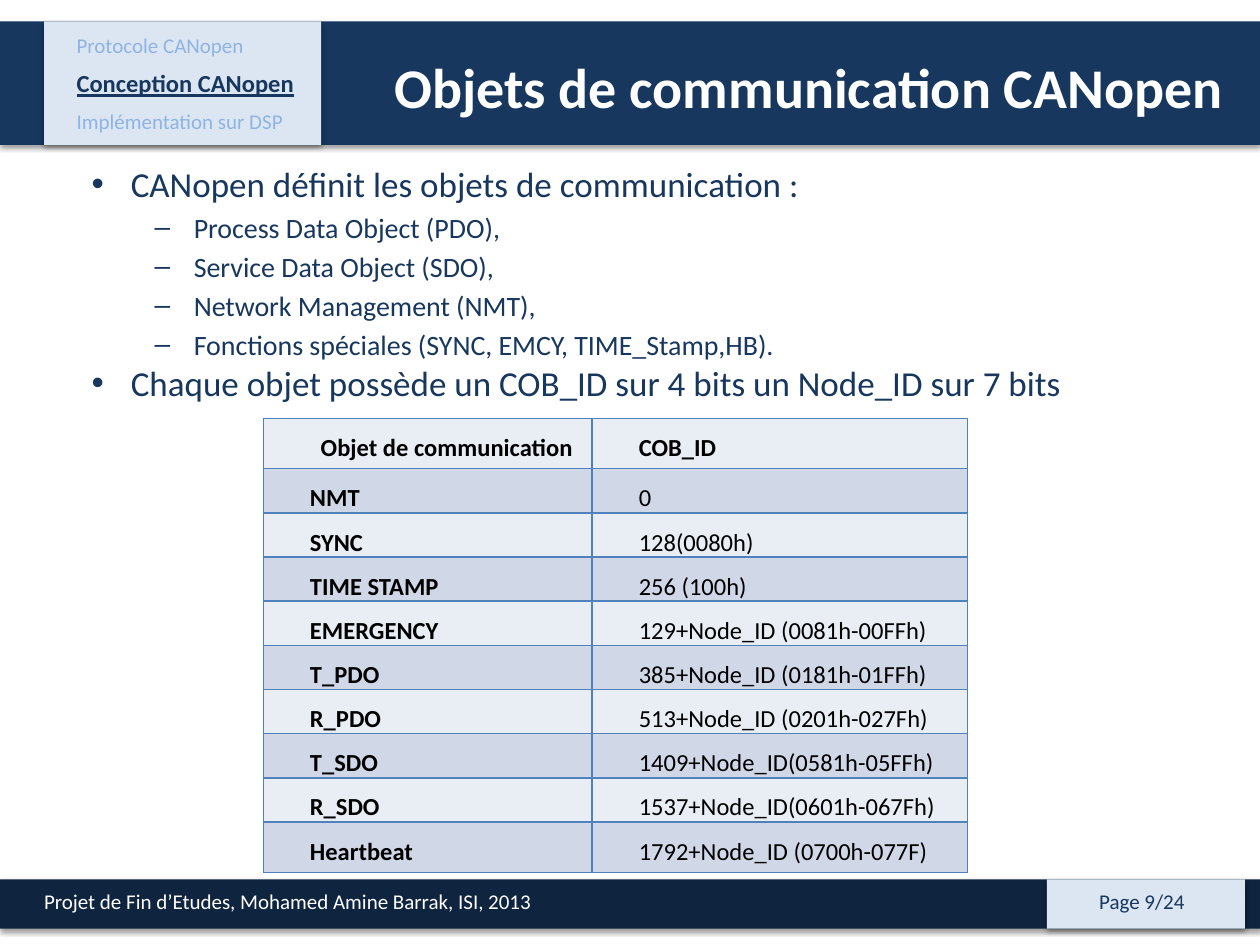
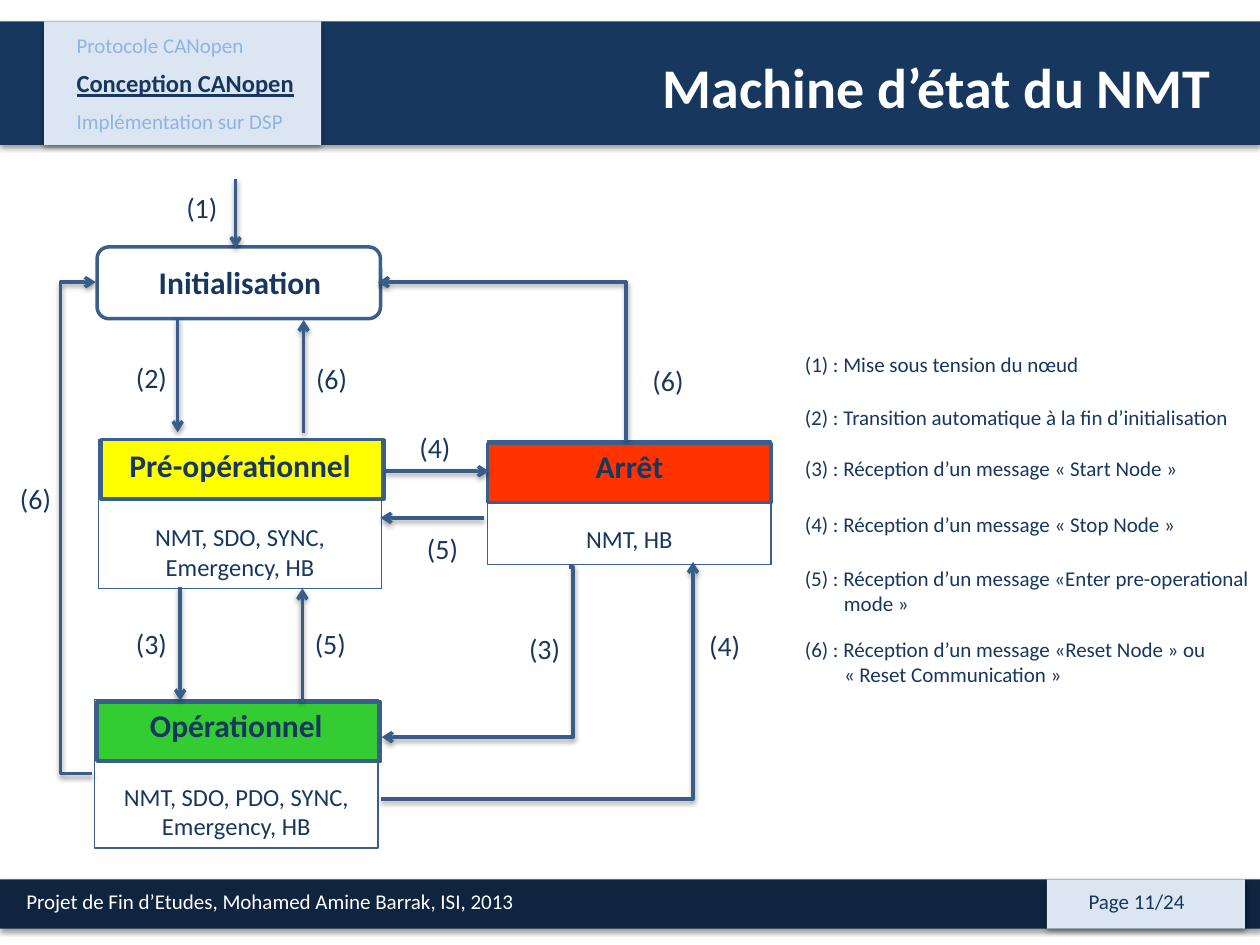
from lxml import etree
from pptx import Presentation
from pptx import util as u
from pptx.dml.color import RGBColor
from pptx.enum import shapes, text
from pptx.oxml import ns

NAVY = RGBColor(0x17, 0x37, 0x5E)
DARK = RGBColor(0x0F, 0x24, 0x3E)
PALE = RGBColor(0xDC, 0xE6, 0xF2)
SKY = RGBColor(0x8E, 0xB4, 0xE3)
WHITE = RGBColor(0xFF, 0xFF, 0xFF)
BLACK = RGBColor(0, 0, 0)
OUTLINE = RGBColor(0x3A, 0x5F, 0x8C)
ARROW = RGBColor(0x38, 0x5D, 0x8A)
GRID = RGBColor(0x4F, 0x81, 0xBD)
ROW_FILLS = RGBColor(0xE9, 0xED, 0xF4), RGBColor(0xD0, 0xD8, 0xE8)
YELLOW = RGBColor(0xFF, 0xFF, 0x00)
GREEN = RGBColor(0x33, 0xCC, 0x33)
RED = RGBColor(0xFF, 0x33, 0x00)

FONT = "Calibri"
ALIGN = text.PP_ALIGN
ANCHOR = text.MSO_ANCHOR
KIND = shapes.MSO_SHAPE

SECTIONS = ["Protocole CANopen", "Conception CANopen", "Implémentation sur DSP"]
CURRENT = 1
CREDIT = "Projet de Fin d’Etudes, Mohamed Amine Barrak, ISI, 2013"
PAGES = 24


def sub(parent, tag, **attrs):
    return etree.SubElement(parent, ns.qn(tag), {k: str(v) for k, v in attrs.items()})


def indent(p, left, first=0):
    pPr = p._p.get_or_add_pPr()
    pPr.set("marL", str(u.Inches(left)))
    pPr.set("indent", str(u.Inches(first)))
    return pPr


class Deck:
    def __init__(self):
        self.prs = Presentation()
        self.prs.slide_width, self.prs.slide_height = u.Inches(10), u.Inches(7.5)
        self.s = None

    # --- basic elements ---
    def style(self, p, size, color=NAVY, bold=False, align=None, underline=False):
        p.alignment = align
        for r in p.runs:
            f = r.font
            f.name, f.size, f.bold, f.underline = FONT, u.Pt(size), bold, underline
            f.color.rgb = color

    def shadow(self, effects):
        outer = sub(effects, "a:outerShdw", blurRad=u.Pt(3.1), dist=u.Pt(1.6),
                    dir=5400000, rotWithShape=0)
        sub(sub(outer, "a:srgbClr", val="000000"), "a:alpha", val=38000)

    def box(self, x, y, w, h, fill=None, line=None, width=2, kind=KIND.RECTANGLE,
            shadow=False):
        sp = self.s.shapes.add_shape(kind, *map(u.Inches, (x, y, w, h)))
        if fill is None:
            sp.fill.background()
        else:
            sp.fill.solid()
            sp.fill.fore_color.rgb = fill
        if line is None:
            sp.line.fill.background()
        else:
            sp.line.color.rgb = line
            sp.line.width = u.Pt(width)
        sp.shadow.inherit = False
        if shadow:
            self.shadow(sp._element.spPr.find(ns.qn("a:effectLst")))
        return sp

    def text(self, x, y, w, h, content, size, color=NAVY, bold=False, align=None,
             anchor=ANCHOR.TOP, wrap=True):
        tf = self.s.shapes.add_textbox(*map(u.Inches, (x, y, w, h))).text_frame
        tf.text = content
        tf.word_wrap = wrap
        tf.vertical_anchor = anchor
        for p in tf.paragraphs:
            self.style(p, size, color, bold, align)
        return tf

    def arrow(self, x1, y1, x2, y2, via=None, end="tailEnd"):
        """Straight arrow, or an elbow whose vertical part lies at x = via."""
        kind = shapes.MSO_CONNECTOR.STRAIGHT if via is None else shapes.MSO_CONNECTOR.ELBOW
        c = self.s.shapes.add_connector(kind, *map(u.Inches, (x1, y1, x2, y2)))
        c.line.color.rgb = ARROW
        c.line.width = u.Pt(2)
        spPr = c._element.spPr
        sub(spPr.find(ns.qn("a:ln")), "a:" + end, type="arrow")
        self.shadow(sub(spPr, "a:effectLst"))
        if via is not None:
            ratio = round((via - x1) / (x2 - x1) * 100000)
            guides = spPr.find(ns.qn("a:prstGeom")).find(ns.qn("a:avLst"))
            sub(guides, "a:gd", name="adj1", fmla=f"val {ratio}")

    # --- shared frame: bands, title, section menu, footer ---
    def slide(self, title, page, credit_x):
        self.s = self.prs.slides.add_slide(self.prs.slide_layouts[6])
        for x, y, w, h, fill in [(0, 0.17, 10, 0.98, NAVY), (0, 6.98, 10, 0.39, DARK),
                                 (8.31, 6.98, 1.57, 0.39, PALE), (0.35, 0.17, 2.2, 0.98, PALE)]:
            self.box(x, y, w, h, fill, shadow=True)
        self.text(0.2, 0.29, 9.61, 0.79, title, 32, WHITE, True, ALIGN.RIGHT, ANCHOR.MIDDLE)
        menu = self.text(0.51, 0.21, 2.04, 0.94, "\n".join(SECTIONS), 12, SKY)
        for p in menu.paragraphs:
            p.space_before = u.Pt(6)
        self.style(menu.paragraphs[CURRENT], 14, NAVY, True, underline=True)
        self.text(7.17, 6.95, 2.33, 0.4, f"Page {page}/{PAGES}", 12, NAVY,
                  align=ALIGN.RIGHT, anchor=ANCHOR.MIDDLE)
        self.text(credit_x, 6.95, 4.33, 0.4, CREDIT, 12, WHITE,
                  align=ALIGN.CENTER, anchor=ANCHOR.MIDDLE)

    # --- bullets and table ---
    def bullets(self, x, y, w, h, items):
        tf = self.text(x, y, w, h, "\n".join(t for _, t in items), 20)
        for p, (level, _) in zip(tf.paragraphs, items):
            if level:
                p.level = level
                p.space_before = u.Pt(3.2)
                self.style(p, 16)
            pPr = indent(p, 0.31 + 0.5 * level, -0.31)
            sub(pPr, "a:buFont", typeface="Arial")
            sub(pPr, "a:buChar", char="•–"[level])

    def table(self, x, y, widths, heights, rows):
        tbl = self.s.shapes.add_table(len(rows), len(widths), *map(
            u.Inches, (x, y, sum(widths), sum(heights)))).table
        for col, w in zip(tbl.columns, widths):
            col.width = u.Inches(w)
        for i, (row, h) in enumerate(zip(rows, heights)):
            tbl.rows[i].height = u.Inches(h)
            for j, value in enumerate(row):
                align = ALIGN.JUSTIFY if i else (ALIGN.LEFT if j else ALIGN.CENTER)
                self.cell(tbl.cell(i, j), value, ROW_FILLS[i % 2], i == 0 or j == 0, align)

    def cell(self, cell, value, fill, bold, align):
        cell.text_frame.text = value
        cell.margin_left = cell.margin_right = u.Inches(0.07)
        cell.margin_top = cell.margin_bottom = 0
        p = cell.text_frame.paragraphs[0]
        self.style(p, 14, BLACK, bold, align)
        p.line_spacing = 1.5
        indent(p, 0, 0.3)
        tcPr = cell._tc.get_or_add_tcPr()
        for side in "LRTB":
            ln = sub(tcPr, "a:ln" + side, w=u.Pt(1))
            sub(sub(ln, "a:solidFill"), "a:srgbClr", val=GRID)
        cell.fill.solid()
        cell.fill.fore_color.rgb = fill

    # --- state diagram ---
    def state(self, x, y, h, band_x, band_y, fill, name, services):
        """Coloured name band under an outlined box that lists the services."""
        self.box(band_x, band_y, 2.25, 0.47, fill, OUTLINE)
        tf = self.box(x, y, 2.25, h, line=OUTLINE, width=0.75).text_frame
        tf.text = f"{name}\n{services}"
        tf.word_wrap = True
        tf.vertical_anchor = ANCHOR.TOP
        head, body = tf.paragraphs
        self.style(head, 18, bold=True, align=ALIGN.CENTER)
        self.style(body, 14, align=ALIGN.CENTER)
        body.space_before = u.Pt(22)

    def event(self, x, y, number):
        self.text(x, y, 0.45, 0.37, f"({number})", 16, wrap=False)


def communication_objects(d):
    d.slide("Objets de communication CANopen", 9, 0.12)
    d.bullets(0.63, 1.24, 8.74, 2.71, [
        (0, "CANopen définit les objets de communication :"),
        (1, "Process Data Object (PDO),"),
        (1, "Service Data Object (SDO),"),
        (1, "Network Management (NMT),"),
        (1, "Fonctions spéciales (SYNC, EMCY, TIME_Stamp,HB)."),
        (0, "Chaque objet possède un COB_ID sur 4 bits un Node_ID sur 7 bits")])
    d.table(2.09, 3.32, [2.61, 2.98], [0.4] + [0.35] * 8 + [0.4], [
        ("Objet de communication", "COB_ID"),
        ("NMT", "0"),
        ("SYNC", "128(0080h)"),
        ("TIME STAMP", "256 (100h)"),
        ("EMERGENCY", "129+Node_ID (0081h-00FFh)"),
        ("T_PDO", "385+Node_ID (0181h-01FFh)"),
        ("R_PDO", "513+Node_ID (0201h-027Fh)"),
        ("T_SDO", "1409+Node_ID(0581h-05FFh)"),
        ("R_SDO", "1537+Node_ID(0601h-067Fh)"),
        ("Heartbeat", "1792+Node_ID (0700h-077F)")])


def nmt_state_machine(d):
    d.slide("Machine d’état du NMT ", 11, -0.02)

    # States
    d.box(0.77, 1.96, 2.25, 0.57, line=OUTLINE, kind=KIND.ROUNDED_RECTANGLE)
    d.text(0.88, 2.04, 2.05, 0.4, "Initialisation", 18, bold=True, align=ALIGN.CENTER)
    d.state(0.78, 3.49, 1.18, 0.8, 3.49, YELLOW, "Pré-opérationnel",
            "NMT, SDO, SYNC, Emergency, HB")
    d.state(0.75, 5.55, 1.18, 0.77, 5.57, GREEN, "Opérationnel",
            "NMT, SDO, PDO, SYNC, Emergency, HB")
    d.state(3.87, 3.5, 0.98, 3.87, 3.52, RED, "Arrêt", "NMT, HB")

    # Transitions
    for ends in [(1.87, 1.42, 1.87, 1.97), (1.41, 2.52, 1.41, 3.43),
                 (2.41, 3.44, 2.41, 2.54), (1.43, 4.66, 1.43, 5.56),
                 (2.4, 5.57, 2.4, 4.67), (3.06, 3.74, 3.88, 3.74),
                 (3.84, 4.11, 3.02, 4.11)]:
        d.arrow(*ends)
    d.arrow(3.02, 6.34, 5.5, 4.46, via=5.5)
    d.arrow(4.52, 4.5, 3.03, 5.85, via=4.55)
    d.arrow(0.73, 6.14, 0.76, 2.24, via=0.48)
    d.arrow(3, 2.24, 4.97, 3.5, via=4.97, end="headEnd")

    # Event numbers
    for x, y, number in [(1.38, 1.46, 1), (0.98, 2.81, 2), (0.98, 4.92, 3), (4.1, 4.96, 3),
                         (3.23, 3.37, 4), (5.53, 4.94, 4), (3.29, 4.17, 5), (2.4, 4.92, 5),
                         (0.06, 3.77, 6), (2.41, 2.82, 6), (5.08, 2.84, 6)]:
        d.event(x, y, number)

    # Legend
    legend = [
        (2.74, 2.51, "Mise sous tension du nœud"),
        (3.16, 3.6, "Transition automatique à la fin d’initialisation"),
        (3.57, 3.19, "Réception d’un message « Start Node »"),
        (4.01, 3.18, "Réception d’un message « Stop Node »"),
        (4.44, 3.76, "Réception d’un message «Enter pre-operational\nmode »"),
        (5, 3.42, "Réception d’un message «Reset Node » ou\n« Reset Communication »")]
    for number, (y, w, meaning) in enumerate(legend, 1):
        lines = meaning.count("\n") + 1
        tf = d.text(6.29, y, w, 0.1 + 0.2 * lines, f"({number}) : {meaning}", 12, wrap=False)
        for p in tf.paragraphs[1:]:
            indent(p, 0.31)


def main():
    d = Deck()
    communication_objects(d)
    nmt_state_machine(d)
    d.prs.save("out.pptx")


if __name__ == "__main__":
    main()
